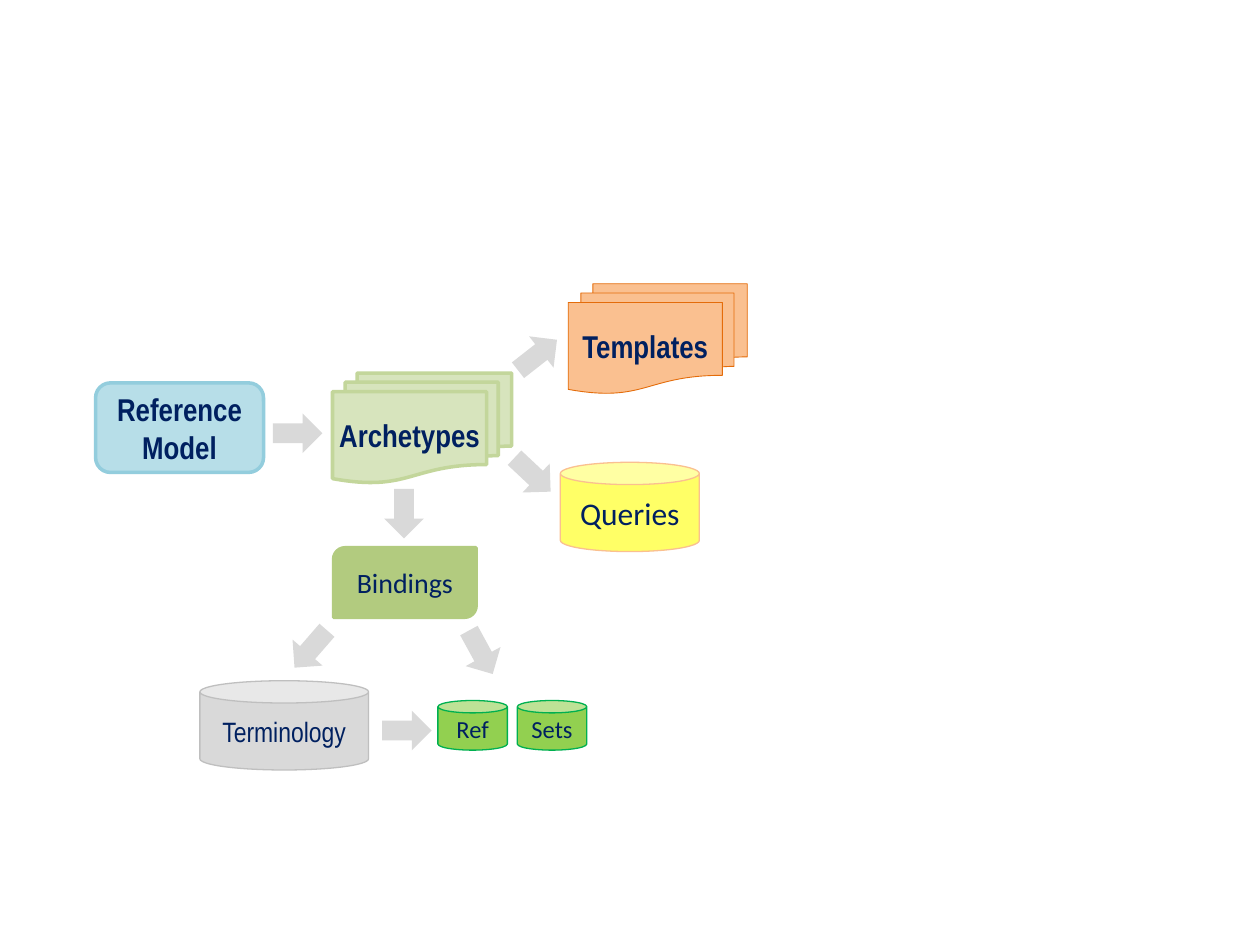
import pptx
import pptx.dml.color
import pptx.enum.shapes
import pptx.enum.text
import pptx.util

Pt = pptx.util.Pt
KIND = pptx.enum.shapes.MSO_SHAPE
NAVY = "002060"
GREY = "D9D9D9"


def color(hex_value):
    return pptx.dml.color.RGBColor.from_string(hex_value)


def write(shape, text, size=18, font="Arial Narrow", bold=False):
    frame = shape.text_frame
    frame.word_wrap = True
    frame.margin_left = frame.margin_right = Pt(3)
    frame.vertical_anchor = pptx.enum.text.MSO_ANCHOR.MIDDLE
    paragraph = frame.paragraphs[0]
    paragraph.alignment = pptx.enum.text.PP_ALIGN.CENTER
    run = paragraph.add_run()
    run.text = text
    run.font.size = Pt(size)
    run.font.name = font
    run.font.bold = bold
    run.font.color.rgb = color(NAVY)


deck = pptx.Presentation()
deck.slide_width, deck.slide_height = Pt(720), Pt(540)
slide = deck.slides.add_slide(deck.slide_layouts[6])

documents = KIND.FLOWCHART_MULTIDOCUMENT
heading = {"bold": True}
artefacts = [
    ("Reference Model", KIND.ROUNDED_RECTANGLE, (54.6, 218.8, 96, 51.2), "B7DEE8", "93CDDD", 2, heading),
    ("Archetypes", documents, (190, 213.2, 102.3, 62.7), "D7E4BD", "C3D69B", 2, heading),
    ("Templates", documents, (324.7, 162.2, 102.3, 62.7), "FAC090", "E46C0A", 0.5, heading),
    ("Queries", KIND.CAN, (320.2, 264.2, 79.4, 51), "FFFF66", "FAC090", 0.75, {"font": "Calibri"}),
    ("Bindings", KIND.ROUND_2_DIAG_RECTANGLE, (190.6, 313, 81.5, 39.8), "B2CB7F", "B2CB7F", 2,
     {"size": 16, "font": "Calibri"}),
    ("Terminology", KIND.CAN, (114.2, 389, 96.4, 51), GREY, "BFBFBF", 0.75, {"size": 16}),
]
for column, word in enumerate(("Ref", "Sets")):
    artefacts.append((word, KIND.CAN, (250.2 + 45.4 * column, 400.3, 39.7, 28.4), "92D050", "00B050", 0.75,
                      {"size": 14, "font": "Calibri"}))

for label, kind, box, fill, outline, weight, style in artefacts:
    artefact = slide.shapes.add_shape(kind, *map(Pt, box))
    artefact.shadow.inherit = False
    artefact.fill.solid()
    artefact.fill.fore_color.rgb = color(fill)
    artefact.line.color.rgb = color(outline)
    artefact.line.width = Pt(weight)
    write(artefact, label, **style)

flow_arrows = [
    (156, 236.2, 0),
    (293, 191.5, 322),
    (290.2, 259.9, 43.2),
    (216.7, 282.2, 90),
    (163.4, 359.5, 131),
    (260.6, 361.4, 61.3),
    (218.4, 406.1, 0),
]
for left, top, angle in flow_arrows:
    arrow = slide.shapes.add_shape(KIND.RIGHT_ARROW, Pt(left), Pt(top), Pt(28.3), Pt(22.7))
    arrow.rotation = angle
    arrow.shadow.inherit = False
    arrow.fill.solid()
    arrow.fill.fore_color.rgb = color(GREY)
    arrow.line.fill.background()

deck.save("out.pptx")
